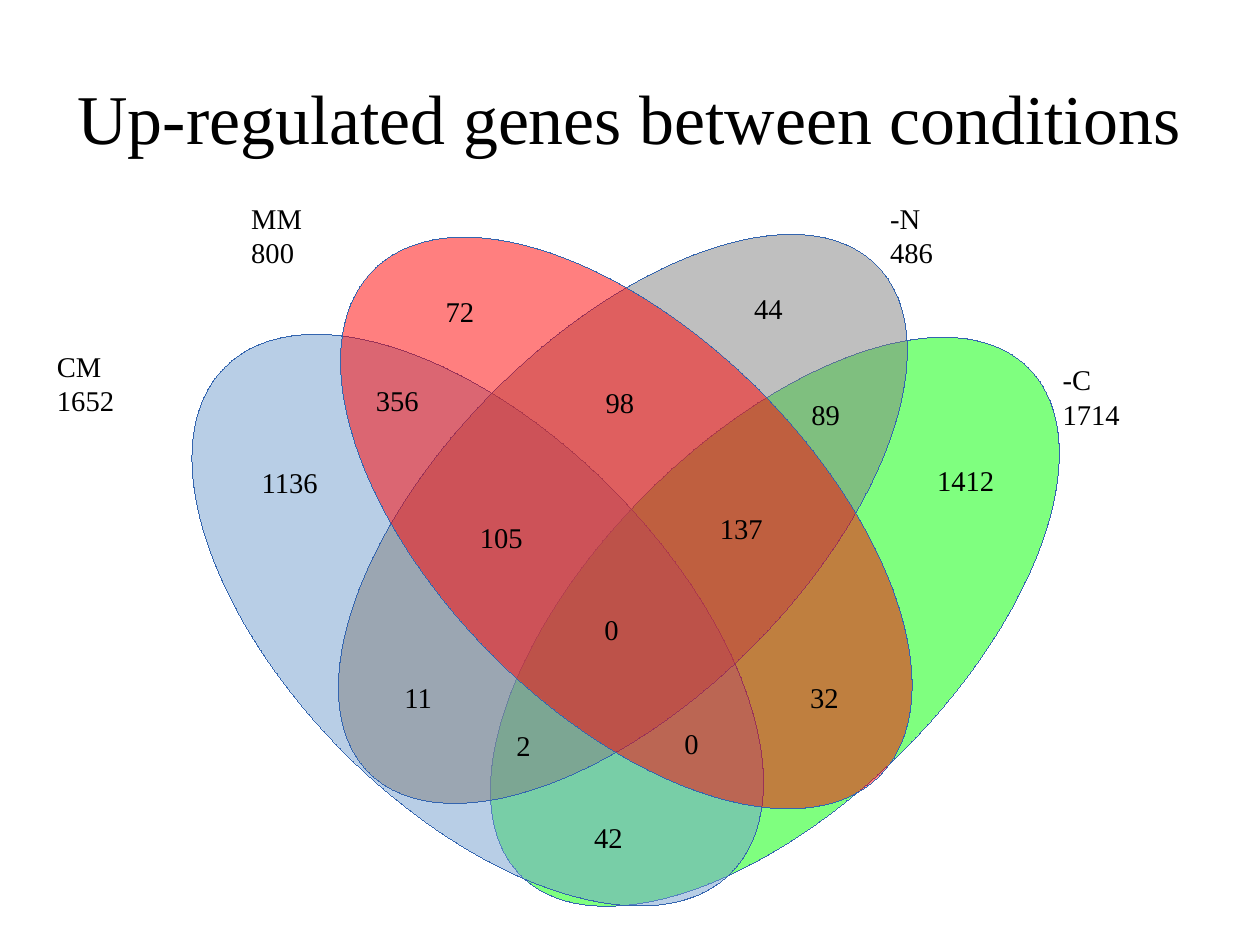
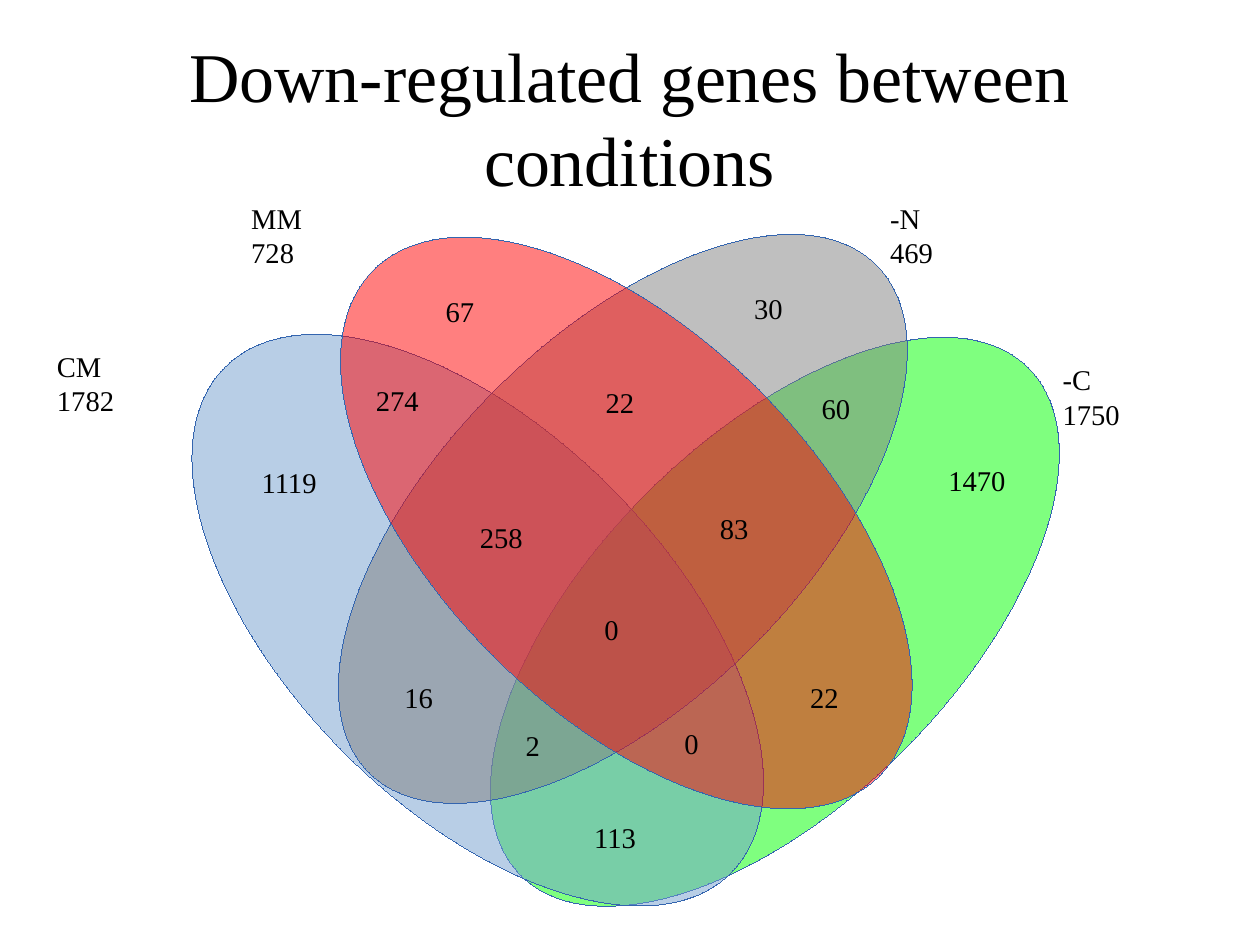
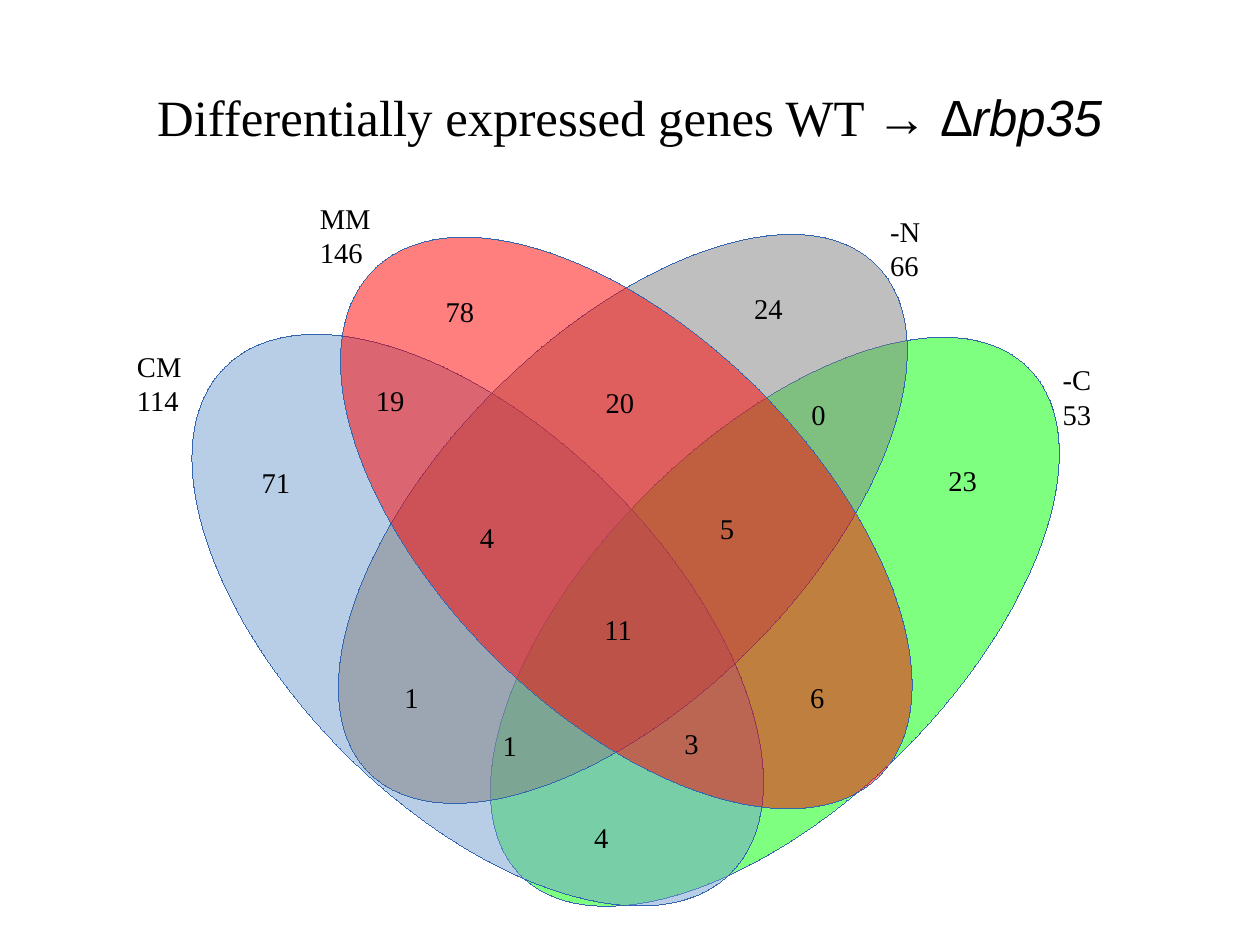
"""Build three slides of four-set Venn diagrams of regulated genes."""
import dataclasses

import pptx
import pptx.dml.color
import pptx.enum.shapes
import pptx.enum.text
import pptx.oxml
import pptx.oxml.ns
import pptx.util

Inches = pptx.util.Inches


@dataclasses.dataclass(frozen=True)
class Theme:
    serif: str = "Times New Roman"
    sans: str = "Arial"
    ink: str = "000000"
    outline: str = "3465AF"
    opacity: int = 50
    title_size: int = 44
    small_title_size: int = 32
    label_size: int = 18


THEME = Theme()
SLIDE_POINTS = (793.75, 595.25)
TITLE_BOX = (0.55, 0.33, 9.92, 1.38)
LABEL_HEIGHT, TOTAL_HEIGHT = 0.38, 0.65

ELLIPSES = [
    ((3.64, 3.85, 6.28, 3.18), 315, "00FF00"),
    ((1.05, 3.78, 6.26, 3.29), 225, "729FCF"),
    ((2.31, 2.95, 6.28, 3.18), 315, "808080"),
    ((2.35, 2.93, 6.26, 3.29), 225, "FF0000"),
]

TOTAL_PLACES = {
    "-C": (9.2, 3.12, 1.3),
    "-N": (7.69, 1.71, 1.51),
    "MM": (2.1, 1.71, 1.4),
    "CM": (0.4, 3, 1.31),
}

REGION_PLACES = {
    "CM MM": (3.19, 3.3, 0.61),
    "CM -N": (3.44, 5.9, 0.61),
    "CM -C": (5.1, 7.12, 0.61),
    "MM -N": (5.2, 3.32, 0.61),
    "MM -C": (6.99, 5.9, 0.61),
    "-N -C": (7, 3.42, 0.61),
    "CM MM -N -C": (5.19, 5.3, 0.61),
    "CM MM -N": (4.1, 4.5, 0.61),
    "CM -N -C": (4.42, 6.32, 0.61),
    "CM MM -C": (5.89, 6.3, 0.61),
    "MM -N -C": (6.2, 4.42, 0.61),
    "CM only": (2.19, 4.02, 0.81),
    "MM only": (3.8, 2.52, 0.7),
    "-N only": (6.5, 2.5, 0.47),
    "-C only": (8.2, 4, 0.9),
}

VENN_SLIDES = [
    {
        "title": [("Up-regulated genes between conditions", {"size": THEME.title_size})],
        "totals": (1714, 486, 800, 1652),
        "counts": (356, 11, 42, 98, 32, 89, 0, 105, 2, 0, 137, 1136, 72, 44, 1412),
        "moved": {"-C only": (8.1, 4, 0.71)},
    },
    {
        "title": [("Down-regulated genes between conditions", {"size": THEME.title_size})],
        "totals": (1750, 469, 728, 1782),
        "counts": (274, 16, 113, 22, 22, 60, 0, 258, 2, 0, 83, 1119, 67, 30, 1470),
        "moved": {"CM -N -C": (4.5, 6.32, 0.61), "-N -C": (7.09, 3.37, 0.47)},
    },
    {
        "title": [
            ("Differentially expressed genes WT → ", {"size": THEME.small_title_size}),
            ("∆rbp35", {"size": THEME.small_title_size, "font": THEME.sans, "italic": True}),
        ],
        "totals": (53, 66, 146, 114),
        "counts": (19, 1, 4, 20, 6, 0, 11, 4, 1, 3, 5, 71, 78, 24, 23),
        "moved": {
            "-C": (9.2, 3.12, 0.73),
            "-N": (7.69, 1.82, 0.61),
            "MM": (2.7, 1.71, 0.8),
            "CM": (1.1, 3, 0.61),
            "CM -N -C": (4.3, 6.32, 0.61),
            "CM only": (2.19, 4.02, 0.61),
            "MM only": (3.8, 2.52, 0.47),
            "-C only": (8.2, 4, 0.61),
        },
    },
]


def color(code):
    return pptx.dml.color.RGBColor.from_string(code)


def add_text(para, text, size=THEME.label_size, font=THEME.serif, italic=None):
    span = para.add_run()
    span.text = text
    span.font.size = pptx.util.Pt(size)
    span.font.name = font
    span.font.italic = italic
    span.font.color.rgb = color(THEME.ink)


def add_title(page, spans):
    title = page.shapes.title
    title.left, title.top, title.width, title.height = map(Inches, TITLE_BOX)
    frame = title.text_frame
    frame.margin_left = frame.margin_right = frame.margin_top = frame.margin_bottom = 0
    frame.vertical_anchor = pptx.enum.text.MSO_ANCHOR.MIDDLE
    frame.auto_size = pptx.enum.text.MSO_AUTO_SIZE.NONE
    frame.word_wrap = True
    para = frame.paragraphs[0]
    para.alignment = pptx.enum.text.PP_ALIGN.CENTER
    for text, style in spans:
        add_text(para, text, **style)


def add_ellipse(page, place, rotation, fill):
    ellipse = page.shapes.add_shape(
        pptx.enum.shapes.MSO_SHAPE.OVAL, *map(Inches, place))
    ellipse.rotation = rotation
    ellipse.shadow.inherit = False
    ellipse.fill.solid()
    ellipse.fill.fore_color.rgb = color(fill)
    ellipse.line.color.rgb = color(THEME.outline)
    properties = ellipse.element.spPr
    properties.find(pptx.oxml.ns.qn("a:ln")).set("w", "0")
    tint = properties.find(pptx.oxml.ns.qn("a:solidFill"))[0]
    alpha = pptx.oxml.parse_xml(
        f'<a:alpha {pptx.oxml.ns.nsdecls("a")} val="{THEME.opacity * 1000}"/>')
    tint.append(alpha)


def add_label(page, place, height, lines):
    box = page.shapes.add_textbox(*map(Inches, (*place, height)))
    frame = box.text_frame
    frame.word_wrap = True
    frame.auto_size = pptx.enum.text.MSO_AUTO_SIZE.SHAPE_TO_FIT_TEXT
    for index, line in enumerate(lines):
        para = frame.add_paragraph() if index else frame.paragraphs[0]
        add_text(para, line)


def add_venn_slide(deck, title, totals, counts, moved):
    page = deck.slides.add_slide(deck.slide_layouts[5])
    add_title(page, title)
    for place, rotation, fill in ELLIPSES:
        add_ellipse(page, place, rotation, fill)
    for (name, place), total in zip(TOTAL_PLACES.items(), totals):
        add_label(page, moved.get(name, place), TOTAL_HEIGHT, [name, str(total)])
    for (name, place), count in zip(REGION_PLACES.items(), counts):
        add_label(page, moved.get(name, place), LABEL_HEIGHT, [str(count)])


def main():
    deck = pptx.Presentation()
    deck.slide_width, deck.slide_height = map(pptx.util.Pt, SLIDE_POINTS)
    for content in VENN_SLIDES:
        add_venn_slide(deck, **content)
    deck.save("out.pptx")


if __name__ == "__main__":
    main()
